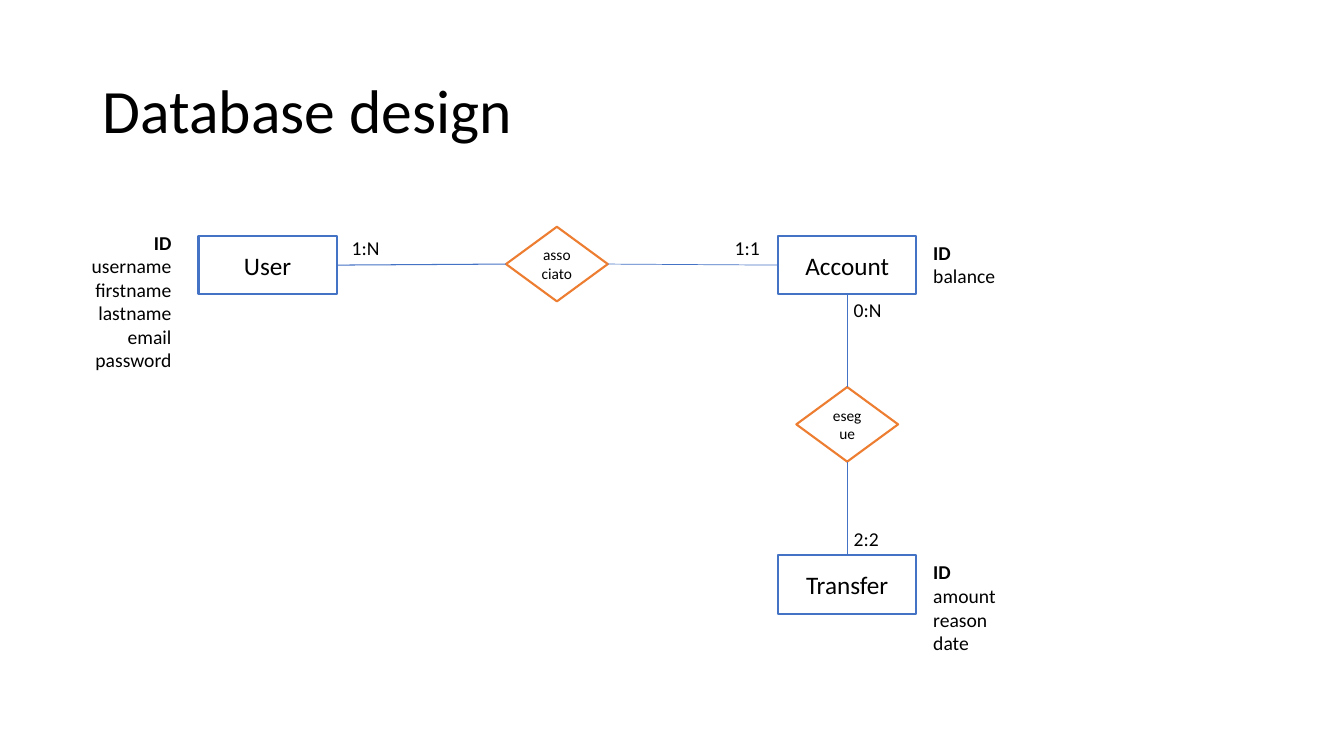
from dataclasses import dataclass
from pptx import Presentation
from pptx.dml.color import RGBColor
from pptx.enum.shapes import MSO_CONNECTOR, MSO_SHAPE
from pptx.enum.text import MSO_ANCHOR, MSO_AUTO_SIZE, PP_ALIGN
from pptx.oxml.ns import qn
from pptx.util import Pt
from lxml.etree import SubElement


@dataclass(frozen=True)
class Theme:
    font: str = "Calibri"
    ink: RGBColor = RGBColor(0, 0, 0)
    blue: RGBColor = RGBColor(0x44, 0x72, 0xC4)
    orange: RGBColor = RGBColor(0xED, 0x7D, 0x31)
    head: float = 44
    name: float = 18
    note: float = 14
    verb: float = 11
    edge: float = 1.5
    wire: float = 0.75
    thin: float = 0.5


THEME = Theme()
WIDE, HIGH = 98.64, 41.76    # entity size
SPAN, RISE = 72.72, 53.28    # relation size
TOP, LEFT, RIGHT, LOW = 0, 1, 2, 3
SITE = {TOP: 0, LEFT: 1, LOW: 2, RIGHT: 3}


def style(frame, size, align):
    for para in frame.paragraphs:
        para.alignment = align
        for run in para.runs:
            run.font.name = THEME.font
            run.font.size = Pt(size)
            run.font.color.rgb = THEME.ink


def node(slide, kind, box, text, color, size):
    shape = slide.shapes.add_shape(kind, *map(Pt, box))
    shape.shadow.inherit = False
    shape.fill.background()
    shape.line.color.rgb = color
    shape.line.width = Pt(THEME.edge)
    frame = shape.text_frame
    frame.text = text
    frame.word_wrap = True
    frame.vertical_anchor = MSO_ANCHOR.MIDDLE
    style(frame, size, PP_ALIGN.CENTER)
    return shape


def note(slide, box, text, align=PP_ALIGN.LEFT):
    frame = slide.shapes.add_textbox(*map(Pt, box)).text_frame
    frame.text = text
    frame.word_wrap = True
    frame.auto_size = MSO_AUTO_SIZE.SHAPE_TO_FIT_TEXT
    style(frame, THEME.note, align)
    return frame


def title(slide, box, text):
    shape = slide.shapes.title
    shape.left, shape.top, shape.width, shape.height = map(Pt, box)
    frame = shape.text_frame
    frame.text = text
    frame.auto_size = MSO_AUTO_SIZE.NONE
    frame.vertical_anchor = MSO_ANCHOR.MIDDLE
    frame.paragraphs[0].line_spacing = 0.9
    style(frame, THEME.head, PP_ALIGN.LEFT)


def entity(slide, x, y, name, fields, side=RIGHT):
    shape = node(slide, MSO_SHAPE.RECTANGLE, (x, y, WIDE, HIGH),
                 name, THEME.blue, THEME.name)
    # Attribute list beside the box, key in bold
    tall = 7.2 + 17 * len(fields)
    if side == LEFT:
        box, align = (x - 92.88, y - 7.2, 80.64, tall), PP_ALIGN.RIGHT
    else:
        box, align = (x + WIDE + 5.04, y, 80.64, tall), PP_ALIGN.LEFT
    frame = note(slide, box, "\n".join(fields), align)
    frame.paragraphs[0].runs[0].font.bold = True
    return shape


def relation(slide, x, y, verb):
    return node(slide, MSO_SHAPE.DIAMOND, (x, y, SPAN, RISE),
                verb, THEME.orange, THEME.verb)


def link(slide, start, out, end, into, width=THEME.wire):
    line = slide.shapes.add_connector(MSO_CONNECTOR.STRAIGHT, 0, 0, 0, 0)
    line.begin_connect(start, SITE[out])
    line.end_connect(end, SITE[into])
    line.line.color.rgb = THEME.blue
    line.line.width = Pt(width)
    SubElement(line._element.spPr, qn("a:effectLst"))


def diagram(slide, x, y):
    # Entities
    right = x + 414
    user = entity(slide, x, y, "User",
                  ["ID", "username", "firstname", "lastname",
                   "email", "password"], LEFT)
    account = entity(slide, right, y, "Account", ["ID", "balance"])
    transfer = entity(slide, right, y + 228.24, "Transfer",
                      ["ID", "amount", "reason", "date"])

    # Relations
    joins = relation(slide, x + 219.6, y - 6.48, "associato")
    makes = relation(slide, right + (WIDE - SPAN) / 2, y + 108, "esegue")

    # Links
    link(slide, user, RIGHT, joins, LEFT)
    link(slide, joins, RIGHT, account, LEFT, THEME.thin)
    link(slide, account, LOW, makes, TOP)
    link(slide, makes, LOW, transfer, TOP)

    # Cardinalities
    for dx, dy, text in ((102.24, -3.3, "1:N"), (375.84, -3.3, "1:1"),
                         (460.8, 41.04, "0:N"), (460.8, 204.48, "2:2")):
        note(slide, (x + dx, y + dy, 38.16, 24.48), text)


deck = Presentation()
deck.slide_width, deck.slide_height = Pt(960), Pt(540)
page = deck.slides.add_slide(deck.slide_layouts[5])
title(page, (66, 28.8, 828, 104.4), "Database design")
diagram(page, 141.84, 168.48)
deck.save("out.pptx")
